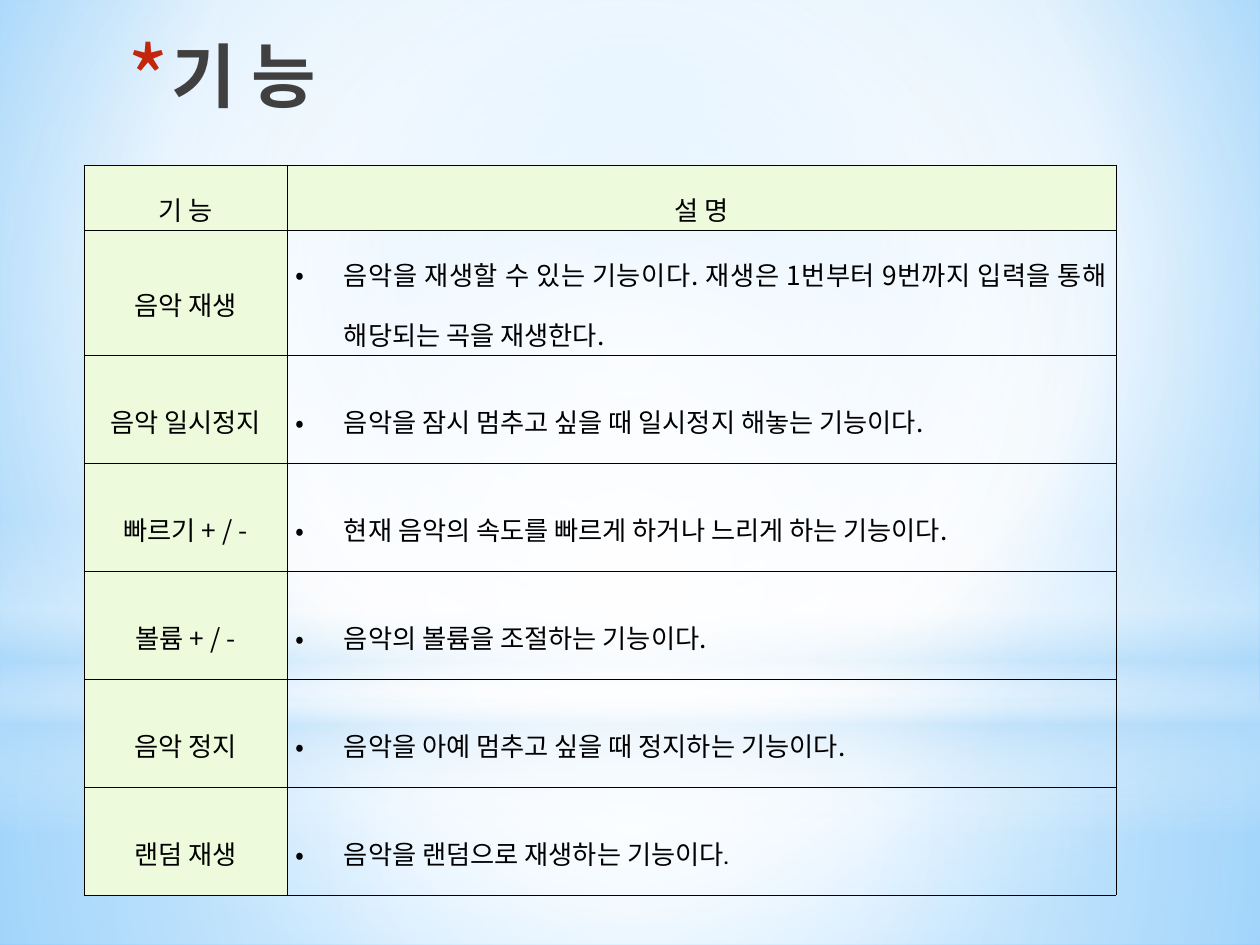
"""Builds the slide listing the music player's functions."""
from lxml import etree
from pptx import Presentation
from pptx.dml.color import RGBColor
from pptx.enum.shapes import MSO_SHAPE
from pptx.enum.text import MSO_ANCHOR, PP_ALIGN
from pptx.oxml.ns import qn
from pptx.util import Emu, Pt

RECTANGLE, OVAL = MSO_SHAPE.RECTANGLE, MSO_SHAPE.OVAL
TOP, MIDDLE = MSO_ANCHOR.TOP, MSO_ANCHOR.MIDDLE
LEFT, CENTER, JUSTIFY = PP_ALIGN.LEFT, PP_ALIGN.CENTER, PP_ALIGN.JUSTIFY

BLACK = RGBColor(0x00, 0x00, 0x00)
GRAY = RGBColor(0x40, 0x40, 0x40)
RED = RGBColor(0xC3, 0x26, 0x0C)
GREEN = RGBColor(0xED, 0xFB, 0xDC)
WHITE = RGBColor(0xFF, 0xFF, 0xFF)
PALE_BLUE = RGBColor(0xB4, 0xDC, 0xFA)
SKY_BLUE = RGBColor(0x9E, 0xD5, 0xFF)
DEEP_BLUE = RGBColor(0x5B, 0xB9, 0xFF)

LATIN_FONT, KOREAN_FONT = "Karla", "Noto Sans CJK KR"
MIDPOINT = (50, 50, 50, 50)
SCALE = 914400 / 126

BACKDROPS = [
    (RECTANGLE, (0, 703, 1260, 242),
     [(0, WHITE, 91), (37, WHITE, 76), (100, PALE_BLUE, 79)], MIDPOINT),
    (RECTANGLE, (0, 0, 1260, 703),
     [(0, WHITE, 89), (48, WHITE, 62), (100, PALE_BLUE, 79)], MIDPOINT),
    (RECTANGLE, (0, 519, 1260, 315),
     [(0, WHITE, 0), (29, WHITE, 30), (45, PALE_BLUE, 40),
      (55, WHITE, 26), (65, PALE_BLUE, 60), (100, WHITE, 0)], None),
    (OVAL, (0, 220, 1260, 703), [(0, WHITE, 100), (56, WHITE, 0)], MIDPOINT),
]

# A bar switches between the two fonts.
FUNCTIONS = [
    ("기 능", "설 명"),
    ("음악 재생", "음악을 재생할 수 있는 기능이다|. |재생은 |1|번부터 |9|"
              "번까지 입력을 통해 해당되는 곡을 재생한다|."),
    ("음악 일시정지", "음악을 잠시 멈추고 싶을 때 일시정지 해놓는 기능이다|."),
    ("빠르기 |+ / -", "현재 음악의 속도를 빠르게 하거나 느리게 하는 기능이다|."),
    ("볼륨 |+ / -", "음악의 볼륨을 조절하는 기능이다|. "),
    ("음악 정지", "음악을 아예 멈추고 싶을 때 정지하는 기능이다|."),
    ("랜덤 재생", "음악을 랜덤으로 재생하는 기능이다."),
]


def px(length):
    return Emu(round(length * SCALE))


def add_xml(parent, tag, **attributes):
    return etree.SubElement(parent, qn(tag), {k: str(v) for k, v in attributes.items()})


class SlideBuilder:
    """Holds the style and the current slide."""

    def __init__(self, presentation):
        self.slide = presentation.slides.add_slide(presentation.slide_layouts[5])

    def gradient(self, fill, owner, stops, focus=None):
        fill.gradient()
        gradient = next(owner.iter(qn("a:gradFill")))
        for child in list(gradient):
            gradient.remove(child)
        stop_list = add_xml(gradient, "a:gsLst")
        for position, color, opacity in stops:
            stop = add_xml(stop_list, "a:gs", pos=position * 1000)
            color_element = add_xml(stop, "a:srgbClr", val=color)
            if opacity < 100:
                add_xml(color_element, "a:alpha", val=opacity * 1000)
        if focus:
            route = add_xml(gradient, "a:path", **{"path": "circle"})
            sides = {side: inset * 1000 for side, inset in zip("ltrb", focus)}
            add_xml(route, "a:fillToRect", **sides)
        else:
            add_xml(gradient, "a:lin", ang=90 * 60000, scaled=0)

    def background(self, stops, focus):
        self.gradient(self.slide.background.fill, self.slide.element, stops, focus)

    def backdrop(self, kind, box, stops, focus):
        shape = self.slide.shapes.add_shape(kind, *map(px, box))
        shape.shadow.inherit = False
        shape.line.fill.background()
        self.gradient(shape.fill, shape.element, stops, focus)

    def bullet(self, paragraph, character, indent, color=None, percent=None):
        properties = paragraph._p.get_or_add_pPr()
        properties.set("marL", str(px(indent)))
        properties.set("indent", str(-px(indent)))
        if color is not None:
            add_xml(add_xml(properties, "a:buClr"), "a:srgbClr", val=color)
        if percent:
            add_xml(properties, "a:buSzPct", val=percent * 1000)
        add_xml(properties, "a:buFont", typeface=KOREAN_FONT)
        add_xml(properties, "a:buChar", char=character)

    def format_run(self, run, font, size, color, bold=False):
        run.font.name, run.font.size, run.font.bold = font, Pt(size), bold
        run.font.color.rgb = color
        add_xml(run._r.get_or_add_rPr(), "a:ea", typeface=KOREAN_FONT)

    def title(self, text, box):
        title = self.slide.shapes.title
        title.left, title.top, title.width, title.height = map(px, box)
        self.slide.shapes.element.append(title.element)
        frame = title.text_frame
        frame.text, frame.vertical_anchor = text, TOP
        paragraph = frame.paragraphs[0]
        paragraph.alignment = LEFT
        self.bullet(paragraph, "*", 44, RED, 128)
        self.format_run(paragraph.runs[0], LATIN_FONT, 40, GRAY, True)

    def cell(self, cell, text, is_heading):
        cell.vertical_anchor = MIDDLE
        cell.margin_left = cell.margin_right = px(9)
        cell.margin_top = cell.margin_bottom = px(2)
        if is_heading:
            cell.fill.solid()
            cell.fill.fore_color.rgb = GREEN
        else:
            cell.fill.background()
        self.borders(cell)
        paragraph = cell.text_frame.paragraphs[0]
        paragraph.alignment = CENTER if is_heading else JUSTIFY
        paragraph.line_spacing = 1.6
        if not is_heading:
            self.bullet(paragraph, "•", 48)
        for index, piece in enumerate(text.split("|")):
            run = paragraph.add_run()
            run.text = piece
            self.format_run(run, (LATIN_FONT, KOREAN_FONT)[index % 2], 15, BLACK)

    def borders(self, cell):
        properties = cell._tc.get_or_add_tcPr()
        for index, side in enumerate("LRTB"):
            line = add_xml(properties, f"a:ln{side}", w=Pt(0.28))
            add_xml(add_xml(line, "a:solidFill"), "a:srgbClr", val=BLACK)
            properties.insert(index, line)

    def table(self, rows, box, widths, heights):
        frame = self.slide.shapes.add_table(len(rows), len(widths), *map(px, box))
        table = frame.table
        table.horz_banding = False
        for column, width in zip(table.columns, widths):
            column.width = px(width)
        for row, height in zip(table.rows, heights):
            row.height = px(height)
        for row_index, texts in enumerate(rows):
            for column_index, text in enumerate(texts):
                is_heading = row_index == 0 or column_index == 0
                self.cell(table.cell(row_index, column_index), text, is_heading)


def main():
    presentation = Presentation()
    presentation.slide_width, presentation.slide_height = px(1260), px(945)
    builder = SlideBuilder(presentation)
    builder.background([(0, SKY_BLUE, 100), (60, WHITE, 100), (100, DEEP_BLUE, 100)],
                       (20, 10, 20, 60))
    for backdrop in BACKDROPS:
        builder.backdrop(*backdrop)
    builder.title("기 능", (115, 26, 897, 158))
    builder.table(FUNCTIONS, (84, 165, 1032, 704), (203, 829), [49] + [108] * 6)
    presentation.save("out.pptx")


if __name__ == "__main__":
    main()
